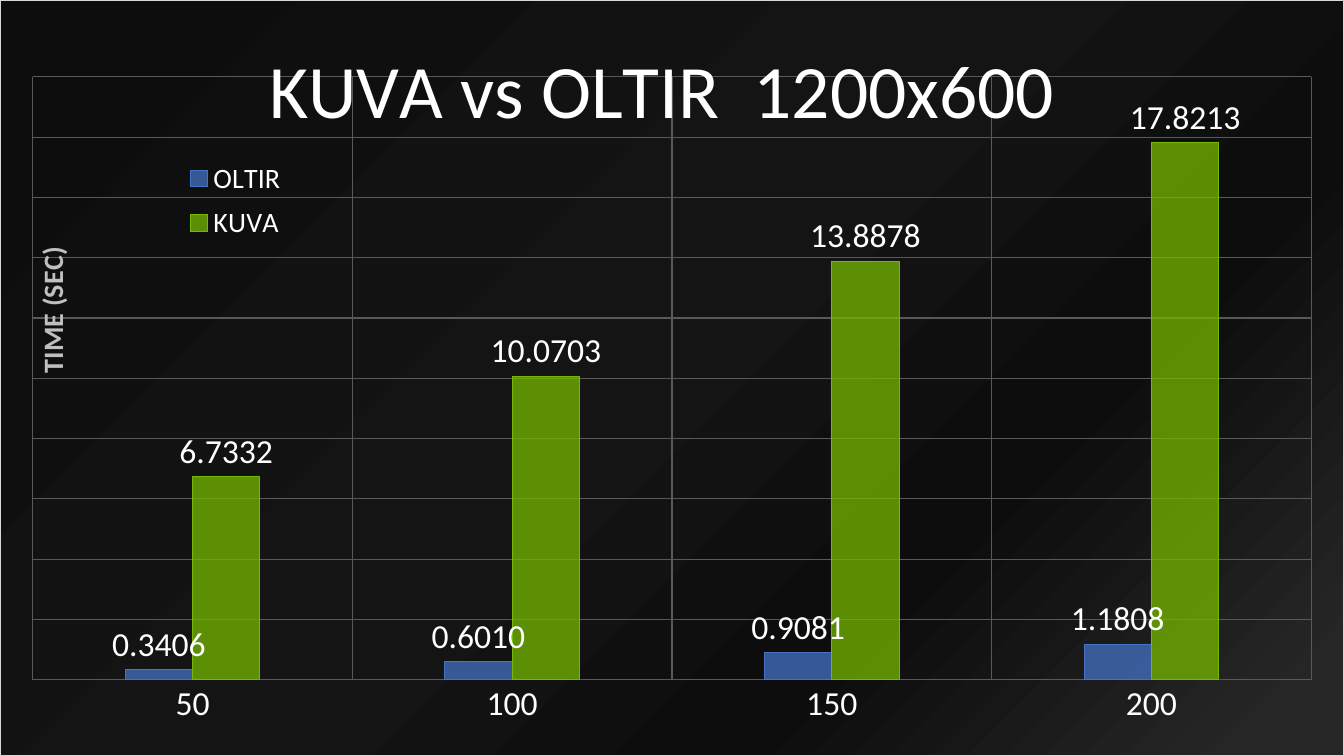
from lxml import etree
from pptx import Presentation
from pptx.chart import data
from pptx.dml import color
from pptx.enum import chart as ec
from pptx.oxml import ns, parse_xml
from pptx.util import Inches, Pt

COLORS = {
    "black": "000000", "white": "FFFFFF", "grid": "595959", "label": "BFBFBF",
    "border": "D9D9D9", "OLTIR": "4472C4", "KUVA": "76B900",
}
FONT = "Calibri"
CATEGORIES = ["50", "100", "150", "200"]
TIMES = {
    "OLTIR": [0.3406, 0.6010, 0.9081, 1.1808],
    "KUVA": [6.7332, 10.0703, 13.8878, 17.8213],
}
GRADIENT = [(5, "262626"), (29, "0D0D0D"), (52, "141414"), (97, "0D0D0D")]


def rgb(name):
    return color.RGBColor.from_string(COLORS[name])


def set_font(font, size, name="white", bold=False):
    font.name = FONT
    font.size = Pt(size)
    font.bold = bold
    font.color.rgb = rgb(name)


def set_line(line, name):
    line.color.rgb = rgb(name)
    line.width = Pt(0.75)


def set_title(title, words, size, name="white", bold=False):
    p = title.text_frame.paragraphs[0]
    r = p.add_run()
    r.text = words
    set_font(r.font, size, name, bold)


def place(parent, index, **edges):
    for old in parent.findall(ns.qn("c:layout")):
        parent.remove(old)
    layout = etree.Element(ns.qn("c:layout"))
    manual = etree.SubElement(layout, ns.qn("c:manualLayout"))
    if "w" in edges and index == 0:
        etree.SubElement(manual, ns.qn("c:layoutTarget")).set("val", "inner")
    for mode in ("xMode", "yMode"):
        etree.SubElement(manual, ns.qn("c:" + mode)).set("val", "edge")
    for edge, share in edges.items():
        etree.SubElement(manual, ns.qn("c:" + edge)).set("val", str(share))
    parent.insert(index, layout)


def fill_chart_area(chart):
    stops = "".join(
        f'<a:gs pos="{pos * 1000}"><a:srgbClr val="{shade}"/></a:gs>'
        for pos, shade in GRADIENT)
    area = parse_xml(
        f'<c:spPr {ns.nsdecls("c", "a")}><a:gradFill><a:gsLst>{stops}</a:gsLst>'
        '<a:path path="circle"><a:fillToRect l="100000" t="100000"/></a:path>'
        f'</a:gradFill><a:ln w="{Pt(0.75)}"><a:solidFill>'
        f'<a:srgbClr val="{COLORS["border"]}"/></a:solidFill></a:ln></c:spPr>')
    chart.element.find(ns.qn("c:chart")).addnext(area)


def style_series(chart):
    plot = chart.plots[0]
    plot.gap_width = 275
    plot.overlap = 0
    plot.vary_by_categories = False
    for series in plot.series:
        series.format.fill.solid()
        series.format.fill.fore_color.rgb = rgb(series.name)
        set_line(series.format.line, series.name)
        labels = series.data_labels
        labels.show_value = True
        labels.number_format = "#,##0.0000"
        labels.number_format_is_linked = False
        labels.position = ec.XL_LABEL_POSITION.OUTSIDE_END
        set_font(labels.font, 24)
    for fill in chart.element.xpath(".//c:ser/c:spPr/a:solidFill/a:srgbClr"):
        etree.SubElement(fill, ns.qn("a:alpha")).set("val", "75000")


def style_axes(chart):
    for axis in (chart.category_axis, chart.value_axis):
        axis.has_major_gridlines = True
        set_line(axis.major_gridlines.format.line, "grid")
        axis.major_tick_mark = ec.XL_TICK_MARK.NONE
        axis.format.line.fill.background()
    set_font(chart.category_axis.tick_labels.font, 24)
    value = chart.value_axis
    value.minimum_scale, value.maximum_scale, value.major_unit = 0, 20, 2
    value.visible = False
    set_title(value.axis_title, "TIME (SEC)", 20, "label", True)
    title = chart.element.xpath(".//c:valAx/c:title")[0]
    body = title.xpath(".//a:bodyPr")[0]
    body.set("rot", "-5400000")
    body.set("vert", "horz")
    place(title, 1, x=0.02, y=0.32)


def add_time_chart(s, width, height):
    chart_data = data.CategoryChartData(number_format="#,##0.0000")
    chart_data.categories = CATEGORIES
    for name, times in TIMES.items():
        chart_data.add_series(name, times)
    chart = s.shapes.add_chart(
        ec.XL_CHART_TYPE.COLUMN_CLUSTERED, 0, 0, width, height, chart_data).chart
    set_font(chart.font, 10, "black")
    fill_chart_area(chart)
    style_series(chart)
    style_axes(chart)
    chart.has_title = True
    set_title(chart.chart_title, "KUVA vs OLTIR  1200x600", 54)
    chart.chart_title.include_in_layout = True
    chart.has_legend = True
    chart.legend.position = ec.XL_LEGEND_POSITION.RIGHT
    chart.legend.include_in_layout = True
    set_font(chart.legend.font, 20)
    root = chart.element
    place(root.xpath("c:chart/c:title")[0], 1, x=0.19, y=0.03)
    place(root.xpath("c:chart/c:legend")[0], 1, x=0.13, y=0.2, w=0.09, h=0.13)
    place(root.xpath("c:chart/c:plotArea")[0], 0, x=0.024, y=0.101, w=0.952, h=0.799)


def main():
    prs = Presentation()
    prs.slide_width, prs.slide_height = Inches(13.33), Inches(7.5)
    s = prs.slides.add_slide(prs.slide_layouts[6])
    s.background.fill.solid()
    s.background.fill.fore_color.rgb = rgb("black")
    add_time_chart(s, prs.slide_width, prs.slide_height)
    prs.save("out.pptx")


if __name__ == "__main__":
    main()
